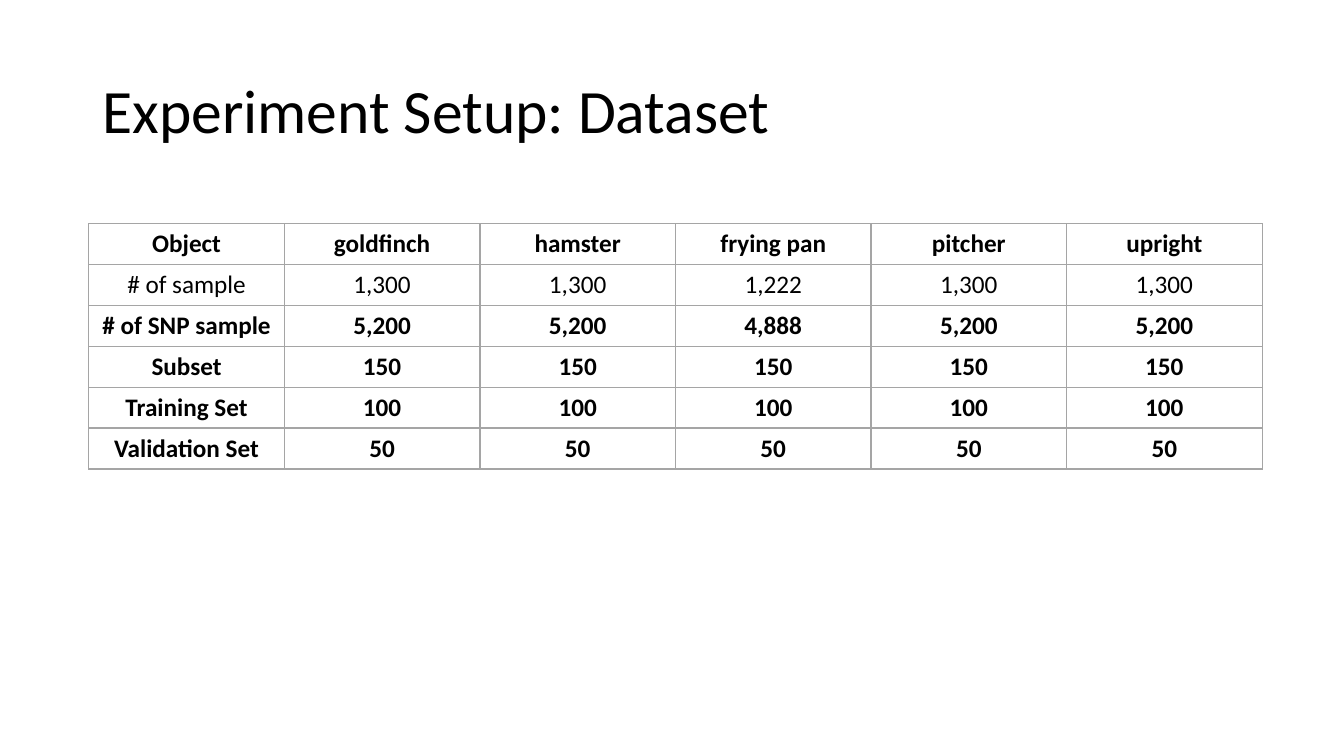
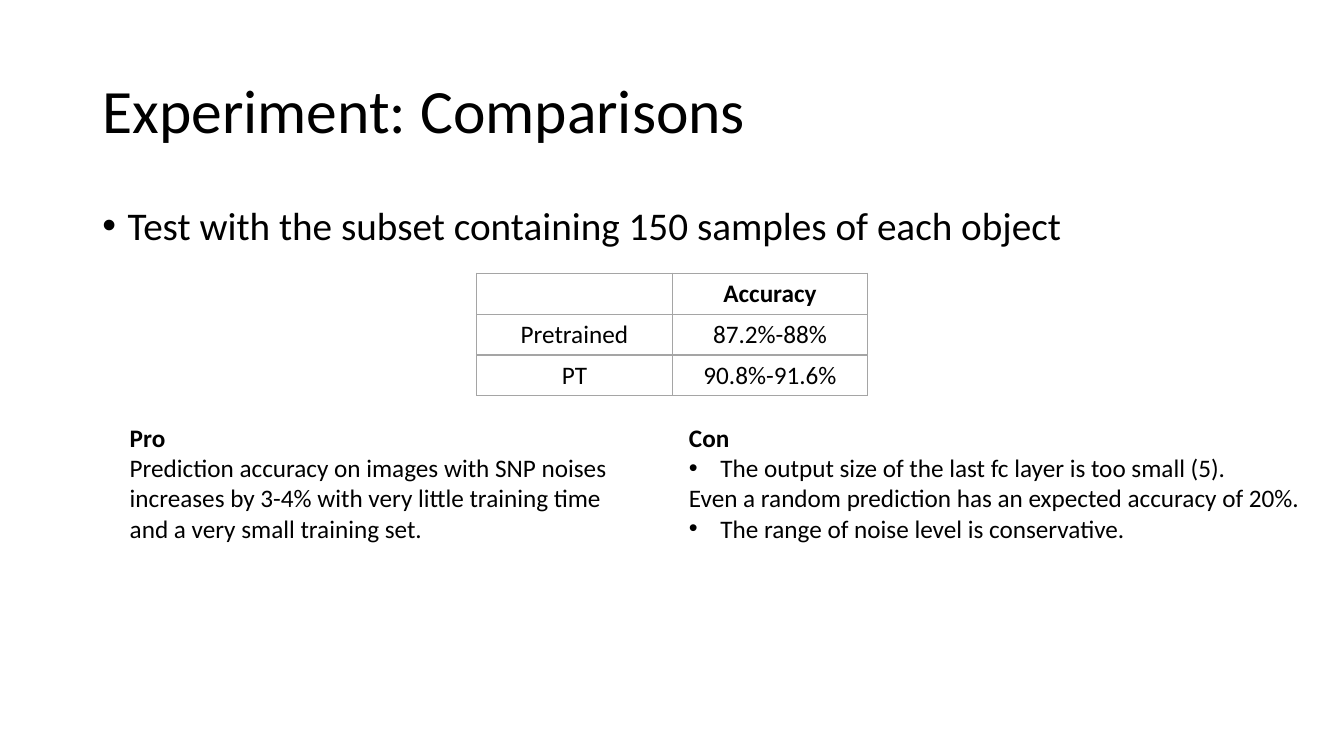
from dataclasses import dataclass

from lxml.etree import SubElement
from pptx import Presentation
from pptx.dml.color import RGBColor
from pptx.enum.text import MSO_ANCHOR, MSO_AUTO_SIZE, PP_ALIGN
from pptx.oxml.ns import qn
from pptx.util import Pt


@dataclass(frozen=True)
class Theme:
    """Fonts, colours, type sizes and table measures of the deck."""
    font: str = "Calibri"
    bullet_font: str = "Arial"
    ink: str = "000000"
    paper: str = "FFFFFF"
    rule: str = "A5A5A5"
    title_size: float = 44
    body_size: float = 28
    text_size: float = 18
    line_spacing: float = 0.9
    column_width: float = 139.7
    row_height: float = 29.2
    rule_width: float = 1


class Deck:
    """Presentation with a shared style and a current page."""

    def __init__(self, theme):
        """Start an empty widescreen presentation."""
        self.theme = theme
        self.presentation = Presentation()
        self.presentation.slide_width = Pt(960)
        self.presentation.slide_height = Pt(540)
        self.page = None

    def style(self, para, size, bold=False):
        """Set the font of a whole paragraph."""
        para.font.name = self.theme.font
        para.font.size = Pt(size)
        para.font.bold = bold
        para.font.color.rgb = RGBColor.from_string(self.theme.ink)

    def bullet(self, para, indent):
        """Give a paragraph a hanging round bullet."""
        properties = para._p.get_or_add_pPr()
        properties.set("marL", str(Pt(indent)))
        properties.set("indent", str(-Pt(indent)))
        SubElement(properties, qn("a:buFont"), typeface=self.theme.bullet_font)
        SubElement(properties, qn("a:buChar"), char="•")

    def place(self, box, left, top, width, height):
        """Move and size a shape."""
        box.left, box.top = Pt(left), Pt(top)
        box.width, box.height = Pt(width), Pt(height)

    def add_page(self, title, layout):
        """Add a page with its title and make it current."""
        self.page = self.presentation.slides.add_slide(
            self.presentation.slide_layouts.get_by_name(layout))
        box = self.page.shapes.title
        self.place(box, 66, 28.8, 828, 104.4)
        frame = box.text_frame
        frame.text = title
        frame.auto_size = MSO_AUTO_SIZE.NONE
        frame.vertical_anchor = MSO_ANCHOR.MIDDLE
        para = frame.paragraphs[0]
        para.alignment = PP_ALIGN.LEFT
        para.line_spacing = self.theme.line_spacing
        self.style(para, self.theme.title_size)

    def add_list(self, items):
        """Fill the body placeholder with bulleted items."""
        box = self.page.placeholders[1]
        self.place(box, 66, 144, 828, 342.7)
        frame = box.text_frame
        frame.auto_size = MSO_AUTO_SIZE.NONE
        frame.text = "\n".join(items)
        for index, para in enumerate(frame.paragraphs):
            para.line_spacing = self.theme.line_spacing
            para.space_before = Pt(10 if index else 0)
            self.bullet(para, 18)
            self.style(para, self.theme.body_size)

    def add_table(self, left, top, rows, bold_rows):
        """Add a centred grid whose listed rows are bold."""
        theme = self.theme
        columns = len(rows[0])
        table = self.page.shapes.add_table(
            len(rows), columns, Pt(left), Pt(top),
            Pt(columns * theme.column_width), Pt(len(rows) * theme.row_height)).table
        table.first_row = table.horz_banding = False
        for row_index, values in enumerate(rows):
            for column_index, value in enumerate(values):
                cell = table.cell(row_index, column_index)
                cell.text = value
                self.add_borders(cell)
                cell.fill.solid()
                cell.fill.fore_color.rgb = RGBColor.from_string(theme.paper)
                para = cell.text_frame.paragraphs[0]
                para.alignment = PP_ALIGN.CENTER
                self.style(para, theme.text_size, row_index in bold_rows)

    def add_borders(self, cell):
        """Draw the four borders of a table cell."""
        properties = cell._tc.get_or_add_tcPr()
        for side in ("lnL", "lnR", "lnT", "lnB"):
            line = SubElement(properties, qn(f"a:{side}"), w=str(Pt(self.theme.rule_width)))
            fill = SubElement(line, qn("a:solidFill"))
            SubElement(fill, qn("a:srgbClr"), val=self.theme.rule)

    def add_note(self, left, width, height, heading, lines):
        """Add a bold heading over lines given as (text, bulleted)."""
        box = self.page.shapes.add_textbox(Pt(left), Pt(298), Pt(width), Pt(height))
        frame = box.text_frame
        frame.word_wrap = True
        frame.text = "\n".join([heading, *(text for text, _ in lines)])
        heading_para, *paras = frame.paragraphs
        self.style(heading_para, self.theme.text_size, bold=True)
        for para, (_, bulleted) in zip(paras, lines):
            if bulleted:
                self.bullet(para, 22.5)
            self.style(para, self.theme.text_size)


def main():
    """Build and save the two experiment pages."""
    deck = Deck(Theme())

    deck.add_page("Experiment Setup: Dataset", "Title Only")
    deck.add_table(63.4, 159.8, [
        ["Object", "goldfinch", "hamster", "frying pan", "pitcher", "upright"],
        ["# of sample", "1,300", "1,300", "1,222", "1,300", "1,300"],
        ["# of SNP sample", "5,200", "5,200", "4,888", "5,200", "5,200"],
        ["Subset"] + ["150"] * 5,
        ["Training Set"] + ["100"] * 5,
        ["Validation Set"] + ["50"] * 5,
    ], bold_rows={0, 2, 3, 4, 5})

    deck.add_page("Experiment: Comparisons", "Title and Content")
    deck.add_list(["Test with the subset containing 150 samples of each object"])
    deck.add_table(340.5, 195.2, [
        ["", "Accuracy"],
        ["Pretrained", "87.2%-88%"],
        ["PT", "90.8%-91.6%"],
    ], bold_rows={0})
    deck.add_note(85.6, 360, 94.5, "Pro", [
        ("Prediction accuracy on images with SNP noises increases by 3-4% "
         "with very little training time and a very small training set.", False),
    ])
    deck.add_note(485, 456, 94.5, "Con", [
        ("The output size of the last fc layer is too small (5).", True),
        ("Even a random prediction has an expected accuracy of 20%.", False),
        ("The range of noise level is conservative.", True),
    ])

    deck.presentation.save("out.pptx")


if __name__ == "__main__":
    main()
